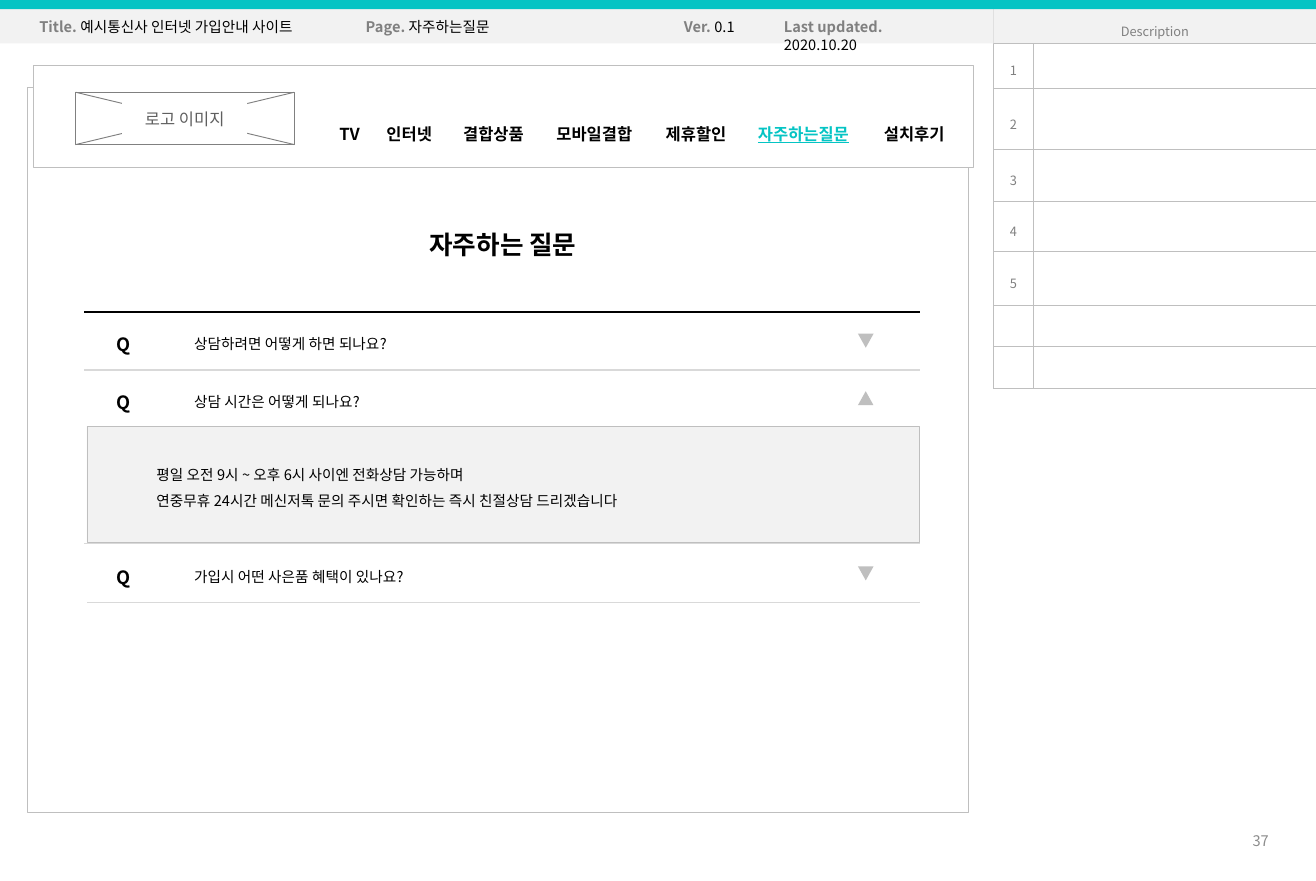
from itertools import accumulate

from lxml import etree
from pptx import Presentation
from pptx import util as u
from pptx.dml.color import RGBColor
from pptx.enum import shapes, text
from pptx.oxml.ns import qn

BLACK = RGBColor(0x00, 0x00, 0x00)
WHITE = RGBColor(0xFF, 0xFF, 0xFF)
TEAL = RGBColor(0x05, 0xC4, 0xC4)
PALE = RGBColor(0xF2, 0xF2, 0xF2)
RULE = RGBColor(0xD9, 0xD9, 0xD9)
BORDER = RGBColor(0xBF, 0xBF, 0xBF)
GRAY = RGBColor(0x80, 0x80, 0x80)
NUMBER_GRAY = RGBColor(0x8C, 0x8C, 0x8C)
LOGO_GRAY = RGBColor(0x5F, 0x5F, 0x5F)
FONT = "Noto Sans CJK KR"

# Content; all lengths are in centimetres
META = [  # label, value, left, width, wraps
    ("Title.", "예시통신사 인터넷 가입안내 사이트", 0.51, 5.92, False),
    ("Page.", "자주하는질문", 6.81, 3.18, False),
    ("Ver.", "0.1", 12.95, 1.63, False),
    ("Last updated.", "2020.10.20", 14.88, 3.8, True),
]
MENU = [("TV", 0.91), ("인터넷", 1.48), ("결합상품", 1.8), ("모바일결합", 2.11),
        ("제휴할인", 1.78), ("자주하는질문", 2.43), ("설치후기", 1.8)]
MENU_LEFT, CURRENT_PAGE = 6.3, "자주하는질문"
QUESTIONS = [  # question, top, opened
    ("상담하려면 어떻게 하면 되나요?", 6.15, False),
    ("상담 시간은 어떻게 되나요?", 7.26, True),
    ("가입시 어떤 사은품 혜택이 있나요?", 10.64, False),
]
ANSWER = ["평일 오전 9시 ~ 오후 6시 사이엔 전화상담 가능하며",
          "연중무휴 24시간 메신저톡 문의 주시면 확인하는 즉시 친절상담 드리겠습니다"]
RULES = [(1.63, 6.02, BLACK), (1.63, 7.14, RULE), (1.63, 10.49, RULE), (1.68, 11.63, RULE)]
RULE_RIGHT = 17.75
DESCRIPTIONS = ["1", "2", "3", "4", "5", "", ""]
ROW_HEIGHTS = [0.67, 0.86, 1.19, 1.0, 0.96, 1.04, 0.8, 0.8]
COLUMN_WIDTHS = [0.76, 5.46]
LOGO = (1.46, 1.78, 4.22, 1.01)

presentation = Presentation()
presentation.slide_width, presentation.slide_height = u.Cm(25.4), u.Cm(17)
slide = presentation.slides.add_slide(presentation.slide_layouts[6])


def cm(*lengths):
    return [u.Cm(length) for length in lengths]


def write(paragraph, runs, align=text.PP_ALIGN.LEFT, spacing=None):
    """Add (text, format) runs to a paragraph."""
    paragraph.alignment = align
    if spacing:
        paragraph.line_spacing = spacing
    for words, style in runs:
        run = paragraph.add_run()
        run.text = words
        values = {"size": 8, "name": FONT, "bold": False, **style}
        run.font.color.rgb = values.pop("color", BLACK)
        values["size"] = u.Pt(values["size"])
        for name, value in values.items():
            setattr(run.font, name, value)
        etree.SubElement(run.font._element, qn("a:ea"), typeface=FONT)


def add_text(box, lines, style, wrap=True, anchor=text.MSO_ANCHOR.TOP, **layout):
    frame = slide.shapes.add_textbox(*cm(*box)).text_frame
    frame.word_wrap, frame.vertical_anchor = wrap, anchor
    for index, line in enumerate(lines):
        paragraph = frame.add_paragraph() if index else frame.paragraphs[0]
        write(paragraph, [(line, style)] if isinstance(line, str) else line, **layout)


def add_block(box, fill, line=None, kind=shapes.MSO_SHAPE.RECTANGLE):
    shape = slide.shapes.add_shape(kind, *cm(*box))
    shape.shadow.inherit = False
    shape.fill.solid()
    shape.fill.fore_color.rgb = fill
    if line is None:
        shape.line.fill.background()
    else:
        shape.line.color.rgb, shape.line.width = line, u.Pt(0.5)
    return shape


def add_line(ends, color, width):
    line = slide.shapes.add_connector(shapes.MSO_CONNECTOR.STRAIGHT, *cm(*ends))
    line.line.color.rgb, line.line.width = color, u.Pt(width)
    etree.SubElement(line._element.spPr, qn("a:effectLst"))


def format_cell(cell, words, fill):
    cell.margin_left = cell.margin_right = cell.margin_top = cell.margin_bottom = 0
    cell.vertical_anchor = text.MSO_ANCHOR.MIDDLE
    paragraph = cell.text_frame.paragraphs[0]
    if words:
        write(paragraph, [(words, {"size": 7, "color": GRAY})], text.PP_ALIGN.CENTER, 1.5)
    else:
        etree.SubElement(paragraph._p, qn("a:endParaRPr"), sz="700")
    properties = cell._tc.get_or_add_tcPr()
    for side in ("lnL", "lnR", "lnT", "lnB"):
        border = etree.SubElement(properties, qn(f"a:{side}"), w=str(u.Pt(0.5)))
        solid = etree.SubElement(border, qn("a:solidFill"))
        etree.SubElement(solid, qn("a:srgbClr"), val=str(BORDER))
    cell.fill.solid()
    cell.fill.fore_color.rgb = fill


# Page frame and number
add_block((0.53, 1.68, 18.16, 14), WHITE, BORDER)
add_text((23.7, 15.75, 1.04, 0.94), ["37"], {"color": NUMBER_GRAY},
         anchor=text.MSO_ANCHOR.MIDDLE, align=text.PP_ALIGN.RIGHT)

# Description table
table = slide.shapes.add_table(
    len(ROW_HEIGHTS), 2, *cm(19.18, 0.17, sum(COLUMN_WIDTHS), sum(ROW_HEIGHTS))).table
for column, width in zip(table.columns, COLUMN_WIDTHS):
    column.width = u.Cm(width)
for row, height in zip(table.rows, ROW_HEIGHTS):
    row.height = u.Cm(height)
table.cell(0, 0).merge(table.cell(0, 1))
for index, words in enumerate(["Description"] + DESCRIPTIONS):
    fill = WHITE if index else PALE
    format_cell(table.cell(index, 0), words, fill)
    format_cell(table.cell(index, 1), "", fill)

# Document header
add_block((0, 0.05, 19.18, 0.79), PALE)
add_block((0, 0, 25.4, 0.18), TEAL)
for label, value, left, width, wraps in META:
    runs = [(label + " ", {"bold": True, "color": GRAY}), (value, {})]
    add_text((left, 0.23, width, 0.61), [runs], {}, wrap=wraps)

# Heading and questions
add_text((7.87, 4.29, 3.68, 0.86), ["자주하는 질문"], {"size": 14, "bold": True},
         wrap=False, align=text.PP_ALIGN.CENTER)
for left, top, color in RULES:
    add_line((left, top, RULE_RIGHT, top), color, 0.75)
for question, top, opened in QUESTIONS:
    add_text((3.5, top + 0.02, 7.04, 0.71), [question], {}, spacing=1.5)
    add_text((1.9, top - 0.05, 0.95, 0.89), ["Q"], {"size": 10, "bold": True},
             align=text.PP_ALIGN.CENTER, spacing=1.5)
    arrow = add_block((16.56, top + 0.29, 0.3, 0.27), BORDER,
                      kind=shapes.MSO_SHAPE.ISOSCELES_TRIANGLE)
    arrow.rotation = 0 if opened else 180

# Opened answer
add_block((1.68, 8.23, 16.07, 2.24), PALE, BORDER)
add_text((2.77, 8.69, 11.4, 1.27), ANSWER, {}, spacing=1.5)

# Site header with logo placeholder
add_block((0.64, 1.26, 18.16, 1.98), WHITE, BORDER)
add_block(LOGO, WHITE, GRAY)
left, top, width, height = LOGO
for start, end in ((top + height, top), (top, top + height)):
    add_line((left, start, left + width, end), GRAY, 0.5)
label = add_block((2.36, 1.96, 2.41, 0.69), WHITE)
label.text_frame.word_wrap = False
label.text_frame.vertical_anchor = text.MSO_ANCHOR.MIDDLE
write(label.text_frame.paragraphs[0],
      [("로고 이미지", {"size": 9, "name": "Lato", "color": LOGO_GRAY})], text.PP_ALIGN.CENTER)

# Menu
lefts = accumulate((width for _, width in MENU), initial=MENU_LEFT)
for (item, width), left in zip(MENU, lefts):
    style = {"size": 9, "bold": True}
    if item == CURRENT_PAGE:
        style.update(color=TEAL, underline=True)
    add_text((left, 2.26, width, 0.64), [item], style, wrap=False)

presentation.save("out.pptx")
